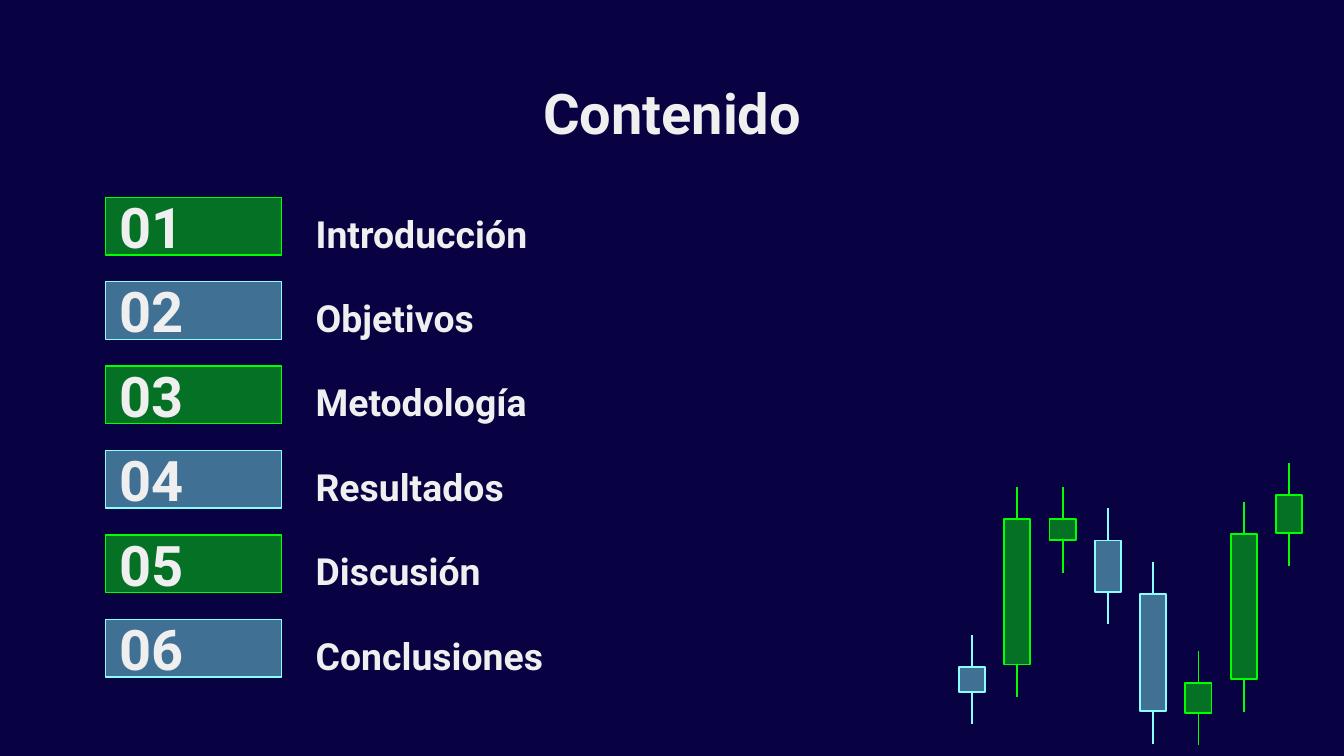
from lxml import etree
from pptx import Presentation
from pptx.dml.color import RGBColor
from pptx.enum.shapes import MSO_CONNECTOR, MSO_SHAPE
from pptx.enum.text import MSO_ANCHOR, MSO_AUTO_SIZE, PP_ALIGN
from pptx.oxml.ns import qn
from pptx.util import Inches, Pt

NAVY = RGBColor(0x08, 0x02, 0x43)
GREEN = RGBColor(0x00, 0xFF, 0x00)
CYAN = RGBColor(0x89, 0xFF, 0xFF)
WHITE = RGBColor(0xEF, 0xEF, 0xEF)

STRAIGHT = MSO_CONNECTOR.STRAIGHT
RECTANGLE = MSO_SHAPE.RECTANGLE
TOP, MIDDLE = MSO_ANCHOR.TOP, MSO_ANCHOR.MIDDLE
LEFT, CENTER = PP_ALIGN.LEFT, PP_ALIGN.CENTER
NO_AUTOFIT = MSO_AUTO_SIZE.NONE

CELL = Inches(0.1)  # square grid: 100 columns by 56.25 rows
COLUMNS, ROWS = 100, 56.25
TITLE_ONLY = 5
SIDE_TOP, SIDE_BOTTOM = 0, 2

SECTIONS = ["Introducción", "Objetivos", "Metodología",
            "Resultados", "Discusión", "Conclusiones"]
FIRST_ROW, ROW_STEP, ROW_HEIGHT = 14.68, 6.28, 4.3

# Candles from left to right: colour, top row and bottom row of the body
CANDLES = [
    (CYAN, 49.62, 51.48), (GREEN, 38.63, 49.45), (GREEN, 38.63, 40.2),
    (CYAN, 40.22, 44.03), (CYAN, 44.2, 52.93), (GREEN, 50.82, 53.07),
    (GREEN, 39.73, 50.55), (GREEN, 36.83, 39.68),
]
FIRST_CANDLE, CANDLE_STEP, CANDLE_WIDTH, WICK = 71.35, 3.37, 1.95, 2.4


def grid(*cells):
    """Turn columns or rows into lengths."""
    return [round(cell * CELL) for cell in cells]


def write(shape, text, size=20, color=WHITE, font="Roboto", align=LEFT, anchor=TOP):
    """Put one formatted bold paragraph into a shape."""
    frame = shape.text_frame
    frame.word_wrap = True
    frame.auto_size = NO_AUTOFIT
    frame.vertical_anchor = anchor
    frame.margin_left = frame.margin_right = CELL
    frame.margin_top = frame.margin_bottom = CELL
    paragraph = frame.paragraphs[0]
    paragraph.alignment = align
    run = paragraph.add_run()
    run.text = text
    run.font.name, run.font.size = font, Pt(size)
    run.font.bold, run.font.color.rgb = True, color


class ContentsSlide:
    """Holds the current slide and its neon style."""

    opacity = 44

    def __init__(self, presentation):
        self.slide = presentation.slides.add_slide(presentation.slide_layouts[TITLE_ONLY])
        background = self.slide.background.fill
        background.solid()
        background.fore_color.rgb = NAVY

    def title(self, text, *cells):
        shape = self.slide.shapes.title
        shape.left, shape.top, shape.width, shape.height = grid(*cells)
        write(shape, text, size=30, align=CENTER)

    def label(self, text, *cells):
        write(self.slide.shapes.add_textbox(*grid(*cells)), text)

    def box(self, color, *cells, line_width=0.75):
        shape = self.slide.shapes.add_shape(RECTANGLE, *grid(*cells))
        shape.shadow.inherit = False
        shape.fill.solid()
        shape.fill.fore_color.rgb = color
        fill_color = shape.fill._xPr.find(qn("a:solidFill"))[0]
        etree.SubElement(fill_color, qn("a:alpha"), val=str(self.opacity * 1000))
        shape.line.color.rgb = color
        shape.line.width = Pt(line_width)
        return shape

    def wick(self, color, body, side, column, start, end):
        connector = self.slide.shapes.add_connector(
            STRAIGHT, *grid(column, start, column, end))
        connector.begin_connect(body, side)
        connector.line.color.rgb = color
        connector.line.width = Pt(1)
        etree.SubElement(connector._element.spPr, qn("a:effectLst"))

    def candle(self, color, left, top, bottom):
        body = self.box(color, left, top, CANDLE_WIDTH, bottom - top, line_width=1)
        center = left + CANDLE_WIDTH / 2
        self.wick(color, body, SIDE_TOP, center, top, top - WICK)
        self.wick(color, body, SIDE_BOTTOM, center, bottom, bottom + WICK)


def main():
    presentation = Presentation()
    presentation.slide_width, presentation.slide_height = grid(COLUMNS, ROWS)
    contents = ContentsSlide(presentation)
    contents.title("Contenido", 7.87, 4.87, 84.3, 6.3)

    # Numbered sections
    for index, section in enumerate(SECTIONS):
        top = FIRST_ROW + index * ROW_STEP
        color = CYAN if index % 2 else GREEN
        number = contents.box(color, 7.87, top, 13.1, ROW_HEIGHT)
        write(number, f"{index + 1:02}", size=30, anchor=MIDDLE)
        contents.label(section, 22.5, top, 35.1, ROW_HEIGHT)

    # Candlestick decoration
    for index, (color, top, bottom) in enumerate(CANDLES):
        contents.candle(color, FIRST_CANDLE + index * CANDLE_STEP, top, bottom)

    presentation.save("out.pptx")


if __name__ == "__main__":
    main()
